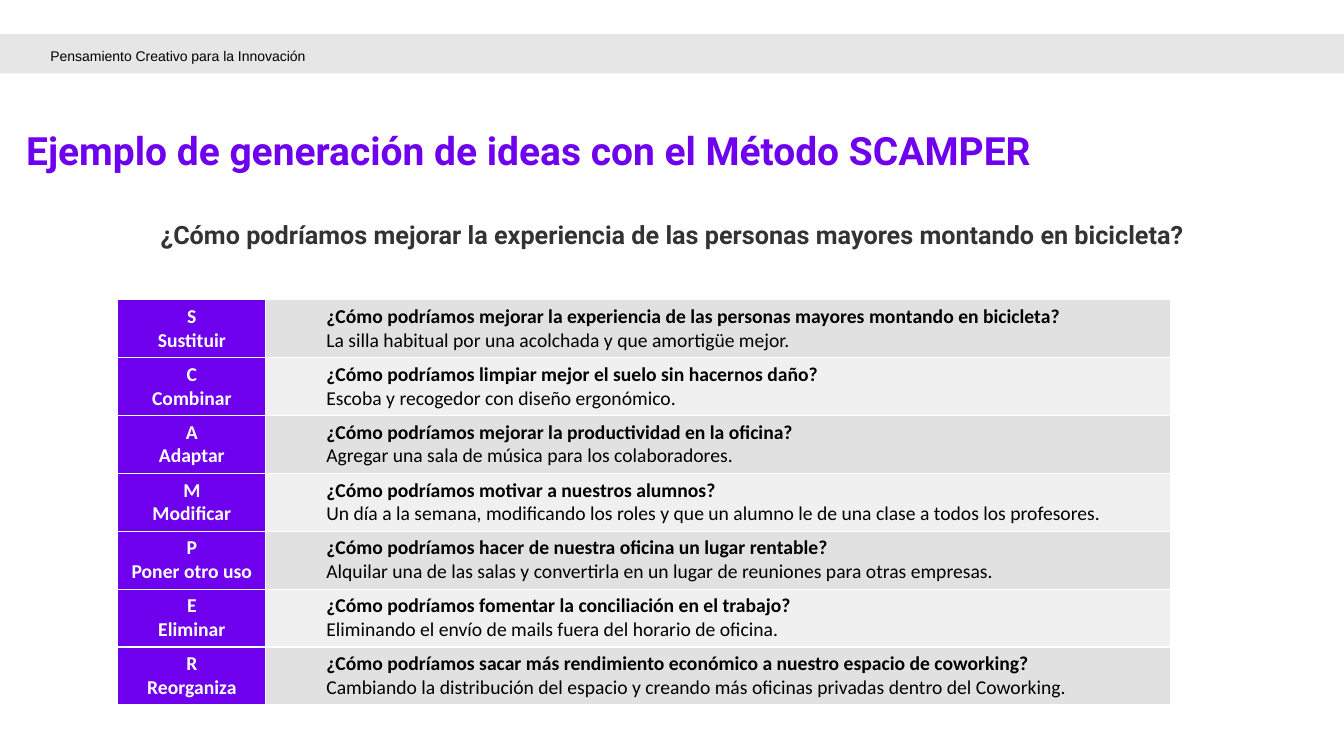
from lxml.etree import SubElement
from pptx import Presentation
from pptx.dml.color import RGBColor
from pptx.enum.shapes import MSO_SHAPE
from pptx.enum.text import MSO_ANCHOR, PP_ALIGN
from pptx.oxml.ns import qn
from pptx.util import Cm, Pt

HEADER = "Pensamiento Creativo para la Innovación"
TITLE = "Ejemplo de generación de ideas con el Método SCAMPER"
QUESTION = "¿Cómo podríamos mejorar la experiencia de las personas mayores montando en bicicleta?"
STEPS = [
    ("S", "Sustituir", QUESTION,
     "La silla habitual por una acolchada y que amortigüe mejor."),
    ("C", "Combinar", "¿Cómo podríamos limpiar mejor el suelo sin hacernos daño?",
     "Escoba y recogedor con diseño ergonómico."),
    ("A", "Adaptar", "¿Cómo podríamos mejorar la productividad en la oficina?",
     "Agregar una sala de música para los colaboradores."),
    ("M", "Modificar", "¿Cómo podríamos motivar a nuestros alumnos?",
     "Un día a la semana, modificando los roles y que un alumno le de una clase a todos los profesores."),
    ("P", "Poner otro uso", "¿Cómo podríamos hacer de nuestra oficina un lugar rentable?",
     "Alquilar una de las salas y convertirla en un lugar de reuniones para otras empresas."),
    ("E", "Eliminar", "¿Cómo podríamos fomentar la conciliación en el trabajo?",
     "Eliminando el envío de mails fuera del horario de oficina."),
    ("R", "Reorganiza", "¿Cómo podríamos sacar más rendimiento económico a nuestro espacio de coworking?",
     "Cambiando la distribución del espacio y creando más oficinas privadas dentro del Coworking."),
]
PURPLE, WHITE, BLACK = "6E00ED", "FFFFFF", "000000"
STRIPES = ("E1E1E1", "F0F0F0")
COL_WIDTHS = (3.73, 22.81)
ROW_HEIGHT = 1.46


def paint(fill, color):
    fill.solid()
    fill.fore_color.rgb = RGBColor.from_string(color)


def write(p, text, font="Calibri", size=14, color=BLACK, bold=False,
          align=PP_ALIGN.LEFT, spacing=None, indent=None):
    if indent:
        pPr = p._p.get_or_add_pPr()
        pPr.set("marL", str(Cm(indent)))
        pPr.set("indent", "0")
    p.alignment = align
    if spacing:
        p.line_spacing = spacing
    r = p.add_run()
    r.text = text
    r.font.name, r.font.size, r.font.bold = font, Pt(size), bold
    paint(r.font.fill, color)


def add_text(s, box, text, margin=None, anchor=MSO_ANCHOR.TOP, **style):
    tf = s.shapes.add_textbox(*map(Cm, box)).text_frame
    tf.word_wrap = True
    tf.vertical_anchor = anchor
    if margin is not None:
        tf.margin_left = tf.margin_right = tf.margin_top = tf.margin_bottom = Cm(margin)
    write(tf.paragraphs[0], text, **style)


def fill_cell(cell, background, lines, **style):
    tf = cell.text_frame
    for i, (text, bold) in enumerate(lines):
        p = tf.add_paragraph() if i else tf.paragraphs[0]
        write(p, text, bold=bold, **style)
    tcPr = cell._tc.get_or_add_tcPr()
    for side in ("lnL", "lnR", "lnT", "lnB"):
        ln = SubElement(tcPr, qn(f"a:{side}"), w=str(Pt(1)))
        SubElement(SubElement(ln, qn("a:solidFill")), qn("a:srgbClr"), val=WHITE)
    paint(cell.fill, background)


def add_scamper(s):
    frame = s.shapes.add_table(len(STEPS), 2, Cm(2.97), Cm(7.55),
                               Cm(sum(COL_WIDTHS)), Cm(ROW_HEIGHT * len(STEPS)))
    table = frame.table
    table.first_row = table.horz_banding = False
    for col, width in zip(table.columns, COL_WIDTHS):
        col.width = Cm(width)
    for i, (letter, action, question, idea) in enumerate(STEPS):
        fill_cell(table.cell(i, 0), PURPLE, [(letter, True), (action, True)],
                  color=WHITE, align=PP_ALIGN.CENTER)
        fill_cell(table.cell(i, 1), STRIPES[i % 2], [(question, True), (idea, False)],
                  indent=1.27)


def main():
    prs = Presentation()
    prs.slide_width, prs.slide_height = Cm(33.87), Cm(19.05)
    s = prs.slides.add_slide(prs.slide_layouts[6])
    band = s.shapes.add_shape(MSO_SHAPE.RECTANGLE, 0, Cm(0.86), prs.slide_width, Cm(0.99))
    band.shadow.inherit = False
    band.line.fill.background()
    paint(band.fill, "E7E6E6")
    add_text(s, (0.66, 3.3, 26.62, 1.32), TITLE, margin=0, anchor=MSO_ANCHOR.MIDDLE,
             font="Roboto", size=27.8, color=PURPLE, bold=True, spacing=0.6)
    add_text(s, (1.27, 0.99, 10.41, 0.81), HEADER, margin=0,
             font="Arial", size=10, spacing=1.5)
    add_scamper(s)
    add_text(s, (2.62, 5.41, 28.65, 1.02), QUESTION, font="Roboto", size=18,
             color="333333", bold=True, align=PP_ALIGN.CENTER)
    prs.save("out.pptx")


if __name__ == "__main__":
    main()
